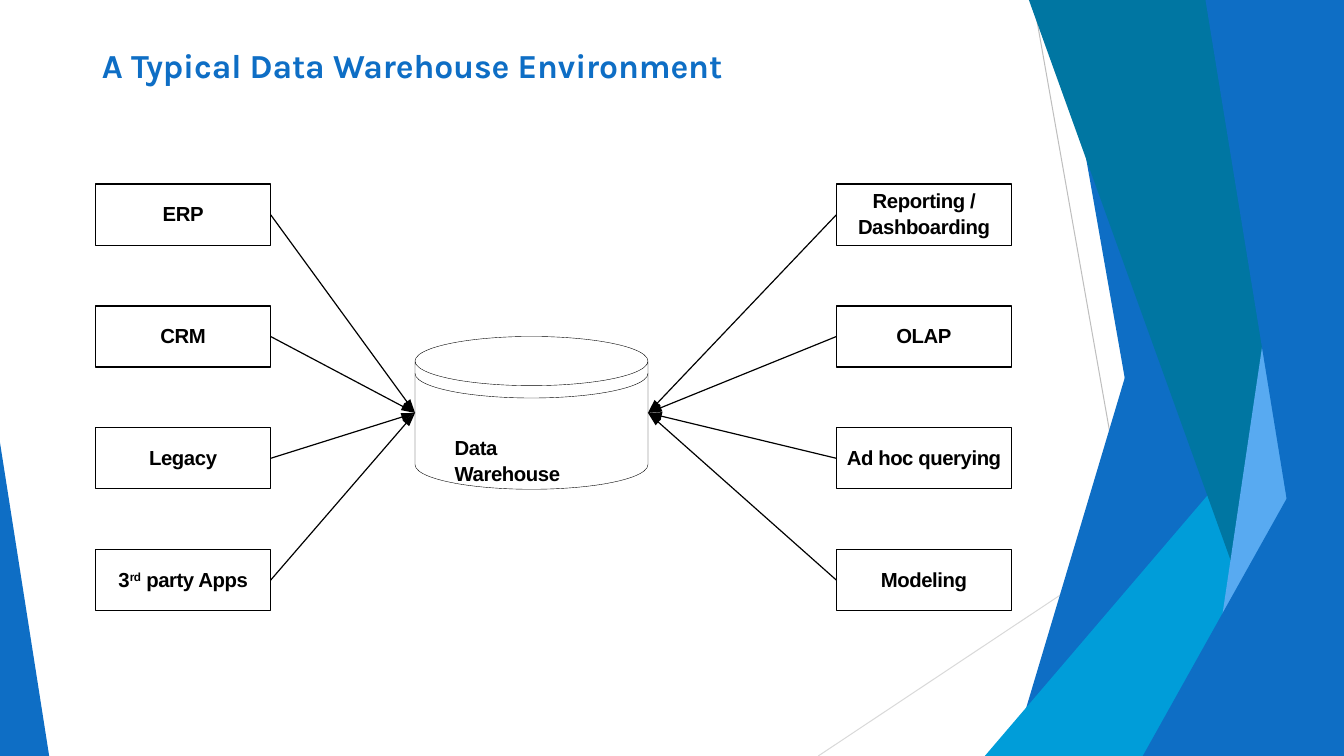
from lxml.etree import SubElement
from pptx import Presentation
from pptx.dml.color import RGBColor
from pptx.enum.shapes import MSO_CONNECTOR as CONN, MSO_SHAPE as SHAPE
from pptx.enum.text import MSO_ANCHOR as ANCHOR, MSO_AUTO_SIZE as AUTO, PP_ALIGN as ALIGN
from pptx.oxml.ns import qn
from pptx.util import Cm, Pt

W, H = 33.87, 19.05
BLUE, CYAN, TEAL, SKY, BLACK = "0E6EC5", "009DD9", "0076A2", "58AAF1", "000000"
PANELS = [
    (BLUE, [(W, 0), (31.19, 0), (25.5, H), (W, H)]),
    (BLUE, [(W, 0), (26.67, 0), (30.02, H), (W, H)]),
    (CYAN, [(W, 8.46), (24.82, H), (W, H)]),
    (TEAL, [(W, 0), (25.93, 0), (32.79, H), (W, H)]),
    (SKY, [(W, 0), (33.1, 0), (30.28, H), (W, H)]),
    (BLUE, [(W, 0), (30.38, 0), (33.48, H), (W, H)]),
    (BLUE, [(W, 9.98), (28.8, H), (W, H)]),
    (BLUE, [(0, 11.15), (0, H), (1.24, H)]),
]
SOURCES = [["ERP"], ["CRM"], ["Legacy"], ["3", "^rd", " party Apps"]]
USES = [["Reporting / Dashboarding"], ["OLAP"], ["Ad hoc querying"], ["Modeling"]]
SOURCE_X, USE_X, BOX_TOP, BOX_STEP = 2.41, 21.08, 4.64, 3.07
BOX_W, BOX_H = 4.41, 1.54
STORE_X, STORE_Y, STORE_W, STORE_H = 10.46, 8.48, 5.87, 3.85
LID_H, RING_DROP = 1.24, 0.31
HUB_Y = STORE_Y + STORE_H / 2

FRAME = {"margin_left": 0, "margin_right": 0, "margin_top": 0, "margin_bottom": 0,
         "word_wrap": True, "auto_size": AUTO.NONE, "vertical_anchor": ANCHOR.TOP}
LABEL = {"name": "Arial", "size": Pt(14.5), "bold": True}
HEADING = {"name": "Karla", "size": Pt(24), "bold": True}


def rgb(value):
    return RGBColor.from_string(value)


def apply(obj, values):
    for name, value in values.items():
        setattr(obj, name, value)


def write(sp, runs, font, color, spc, frame, para):
    tf = sp.text_frame
    apply(tf, {**FRAME, **frame})
    p = tf.paragraphs[0]
    apply(p, para)
    for text in runs:
        r = p.add_run()
        r.text = text.lstrip("^")
        apply(r.font, font)
        r.font.color.rgb = rgb(color)
        rPr = r._r.get_or_add_rPr()
        rPr.set("spc", str(spc))
        if text.startswith("^"):
            rPr.set("baseline", "26000")


def add_panel(shapes, color, points):
    (x, y), *rest = [(Cm(x), Cm(y)) for x, y in points]
    fb = shapes.build_freeform(x, y)
    fb.add_line_segments(rest)
    sp = fb.convert_to_shape()
    sp.shadow.inherit = False
    sp.fill.solid()
    sp.fill.fore_color.rgb = rgb(color)
    sp.line.fill.background()


def add_outline(shapes, kind, x, y, w, h, width, fill=None):
    sp = shapes.add_shape(kind, Cm(x), Cm(y), Cm(w), Cm(h))
    sp.shadow.inherit = False
    if fill:
        sp.fill.solid()
        sp.fill.fore_color.rgb = rgb(fill)
    else:
        sp.fill.background()
    sp.line.color.rgb = rgb(BLACK)
    sp.line.width = Pt(width)
    return sp


def add_line(shapes, x1, y1, x2, y2, color, width, arrow=False):
    c = shapes.add_connector(CONN.STRAIGHT, Cm(x1), Cm(y1), Cm(x2), Cm(y2))
    c.line.color.rgb = rgb(color)
    c.line.width = Pt(width)
    if arrow:
        SubElement(c.line._get_or_add_ln(), qn("a:tailEnd"),
                   type="triangle", w="med", len="lg")
    SubElement(c._element.spPr, qn("a:effectLst"))


def add_column(shapes, labels, x, edge_x, hub_x):
    for i, runs in enumerate(labels):
        y = BOX_TOP + i * BOX_STEP
        sp = add_outline(shapes, SHAPE.RECTANGLE, x, y, BOX_W, BOX_H, 0.87, "FFFFFF")
        write(sp, runs, LABEL, BLACK, -30,
              {"vertical_anchor": ANCHOR.MIDDLE, "margin_bottom": Cm(0.1)},
              {"alignment": ALIGN.CENTER, "line_spacing": 1.07})
        add_line(shapes, edge_x, y + BOX_H / 2, hub_x, HUB_Y, BLACK, 0.85, True)


def add_warehouse(shapes):
    can = add_outline(shapes, SHAPE.CAN, STORE_X, STORE_Y, STORE_W, STORE_H, 0.29)
    can.adjustments[0] = LID_H / STORE_H
    ring = add_outline(shapes, SHAPE.ARC, STORE_X, STORE_Y + RING_DROP, STORE_W, LID_H, 0.29)
    ring.adjustments[0] = 0
    ring.adjustments[1] = 108
    sp = shapes.add_textbox(Cm(11.46), Cm(10.93), Cm(3.4), Cm(1.3))
    write(sp, ["Data Warehouse"], LABEL, BLACK, -30, {},
          {"alignment": ALIGN.LEFT, "line_spacing": 1.07})


def add_title(shapes):
    sp = shapes.title
    apply(sp, {"left": Cm(2.57), "top": Cm(1.12), "width": Cm(22), "height": Cm(1.04)})
    write(sp, ["A Typical Data Warehouse Environment"], HEADING, BLUE, -10, {},
          {"alignment": ALIGN.LEFT})


def main():
    prs = Presentation()
    apply(prs, {"slide_width": Cm(W), "slide_height": Cm(H)})
    shapes = prs.slides.add_slide(prs.slide_layouts[5]).shapes
    add_line(shapes, 26.04, 0, 29.41, H, "BEBEBE", 0.72)
    add_line(shapes, W, 10.24, 20.62, H, "D9D9D9", 0.72)
    for color, points in PANELS:
        add_panel(shapes, color, points)
    add_title(shapes)
    add_warehouse(shapes)
    add_column(shapes, SOURCES, SOURCE_X, SOURCE_X + BOX_W, STORE_X)
    add_column(shapes, USES, USE_X, USE_X, STORE_X + STORE_W)
    prs.save("out.pptx")


if __name__ == "__main__":
    main()
